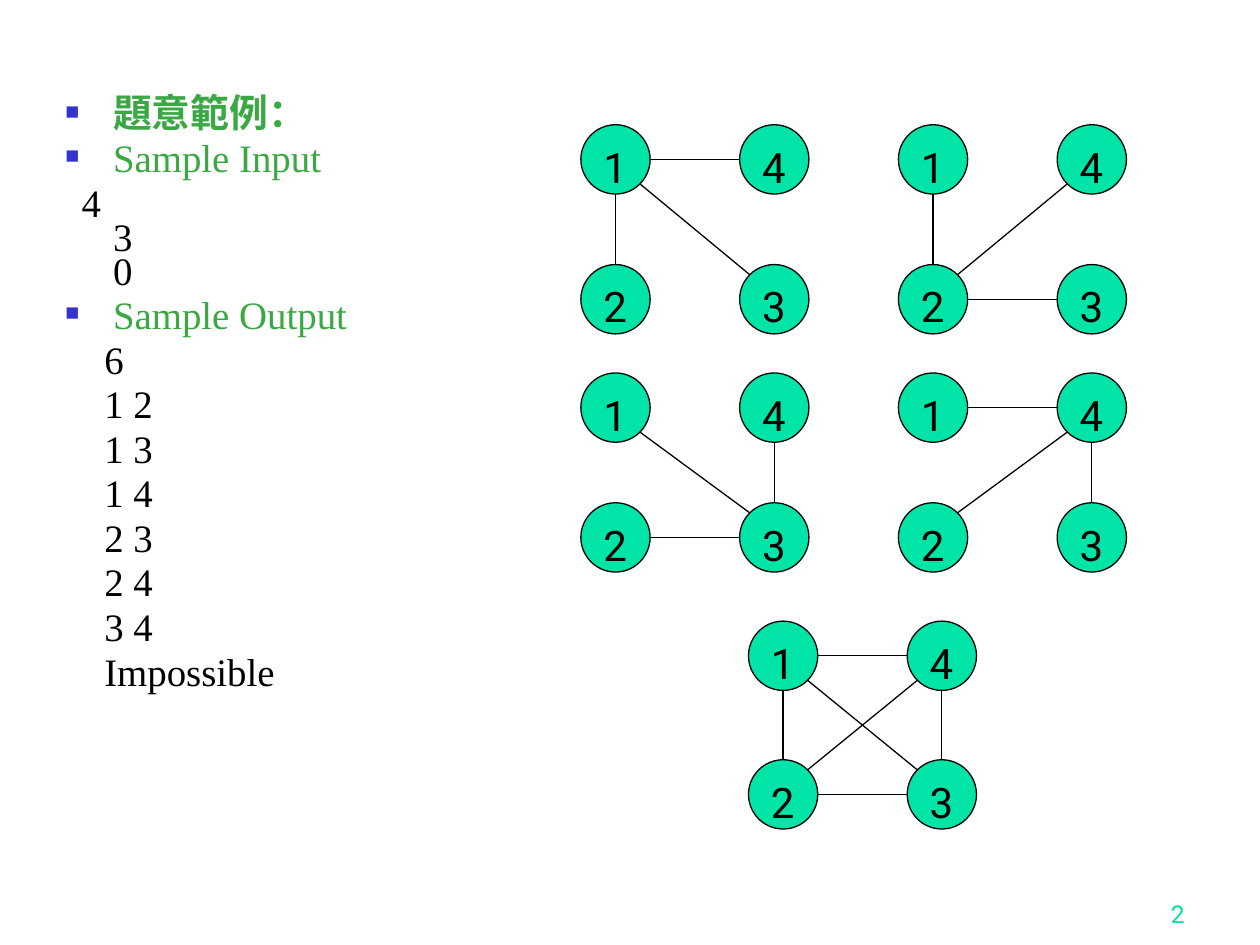
import pptx
import pptx.util
import pptx.dml.color
import pptx.enum.shapes
import pptx.enum.text
import pptx.oxml
import pptx.oxml.ns

Inches = pptx.util.Inches
Pt = pptx.util.Pt
Shape = pptx.enum.shapes.MSO_SHAPE
Line = pptx.enum.shapes.MSO_CONNECTOR
Anchor = pptx.enum.text.MSO_ANCHOR
Align = pptx.enum.text.PP_ALIGN

HUES = {"mint": "00E4A8", "green": "3BA943", "blue": "3333CC", "ink": "000000"}
SIZE = 0.55
WIDE = 1.26
TIMES = "Times New Roman"

TEXT = [
    ("head", "題意範例：", True),
    ("head", "Sample Input", False),
    ("input", "4\v3\v0", False),
    ("head", "Sample Output", False),
] + [("output", row, False) for row in
     ("6", "1 2", "1 3", "1 4", "2 3", "2 4", "3 4", "Impossible")]

INDENTS = {"head": (0.38, -0.38), "input": (0.38, -0.25), "output": (0.31, 0)}

GRAPHS = [
    (4.61, 0.99, 1.11, ["12", "13", "14"]),
    (7.13, 0.99, 1.11, ["12", "23", "24"]),
    (4.61, 2.96, 1.03, ["13", "23", "34"]),
    (7.13, 2.96, 1.03, ["14", "24", "34"]),
    (5.94, 4.93, 1.1, ["12", "13", "14", "23", "24", "34"]),
]


def color(name):
    return pptx.dml.color.RGBColor.from_string(HUES[name])


def sign(num):
    return (num > 0) - (num < 0)


class Deck:
    """Holds the style and the current slide, and draws each kind of element."""

    def __init__(self):
        self.file = pptx.Presentation()
        self.file.slide_width = Inches(10)
        self.file.slide_height = Inches(7.5)
        self.slide = self.file.slides.add_slide(self.file.slide_layouts[6])

    def style(self, item, values):
        for key, value in values.items():
            setattr(item, key, value)

    def label(self, para, text, face, size, hue, bold=False):
        para.text = text
        for run in para.runs:
            self.style(run.font, {"name": face, "size": Pt(size), "bold": bold})
            run.font.color.rgb = color(hue)

    def box(self, left, top, width, height, anchor):
        item = self.slide.shapes.add_textbox(*map(Inches, (left, top, width, height)))
        self.style(item.text_frame, {"word_wrap": True, "vertical_anchor": anchor})
        return item.text_frame

    def bullet(self, props):
        space = pptx.oxml.ns.nsdecls("a")
        for xml in (f'<a:buClr {space}><a:srgbClr val="{HUES["blue"]}"/></a:buClr>',
                    f'<a:buSzPct {space} val="60000"/>',
                    f'<a:buFont {space} typeface="{TIMES}"/>',
                    f'<a:buChar {space} char="■"/>'):
            props.append(pptx.oxml.parse_xml(xml))

    def body(self, rows):
        frame = self.box(0.42, 0.75, 8.83, 6.15, Anchor.TOP)
        for pos, (kind, text, bold) in enumerate(rows):
            para = frame.add_paragraph() if pos else frame.paragraphs[0]
            self.style(para, {"line_spacing": 0.73, "space_before": Pt(6 if pos else 0)})
            props = para._p.get_or_add_pPr()
            for key, value in zip(("marL", "indent"), INDENTS[kind]):
                props.set(key, str(Inches(value)))
            if kind == "head":
                self.bullet(props)
            hue = "green" if kind == "head" else "ink"
            self.label(para, text, TIMES, 22.2, hue, bold)

    def number(self, text):
        para = self.box(7.42, 6.92, 2.08, 0.5, Anchor.BOTTOM).paragraphs[0]
        para.alignment = Align.RIGHT
        self.label(para, text, "Roboto", 14, "mint")

    def stroke(self, item):
        item.line.color.rgb = color("ink")
        item.line.width = Pt(0.75)

    def node(self, left, top, text):
        item = self.slide.shapes.add_shape(
            Shape.OVAL, *map(Inches, (left, top, SIZE, SIZE)))
        item.shadow.inherit = False
        item.fill.solid()
        item.fill.fore_color.rgb = color("mint")
        self.stroke(item)
        self.style(item.text_frame, {"word_wrap": False, "vertical_anchor": Anchor.TOP})
        para = item.text_frame.paragraphs[0]
        para.alignment = Align.LEFT
        self.label(para, text, "Roboto", 24, "ink")

    def edge(self, start, end):
        across, down = (sign(b - a) for a, b in zip(start, end))
        reach = SIZE / 2 * (0.71 if across and down else 1)
        step = (across * reach, down * reach)
        ends = [a + d for a, d in zip(start, step)] + [b - d for b, d in zip(end, step)]
        item = self.slide.shapes.add_connector(Line.STRAIGHT, *map(Inches, ends))
        self.stroke(item)
        item._element.spPr.append(pptx.oxml.parse_xml(
            f'<a:effectLst {pptx.oxml.ns.nsdecls("a")}/>'))

    def graph(self, left, top, drop, edges):
        spots = {"1": (left, top), "2": (left, top + drop),
                 "3": (left + WIDE, top + drop), "4": (left + WIDE, top)}
        for text, spot in spots.items():
            self.node(*spot, text)
        mids = {key: (x + SIZE / 2, y + SIZE / 2) for key, (x, y) in spots.items()}
        for start, end in edges:
            self.edge(mids[start], mids[end])


def main():
    deck = Deck()
    deck.number("2")
    deck.body(TEXT)
    for graph in GRAPHS:
        deck.graph(*graph)
    deck.file.save("out.pptx")


if __name__ == "__main__":
    main()
